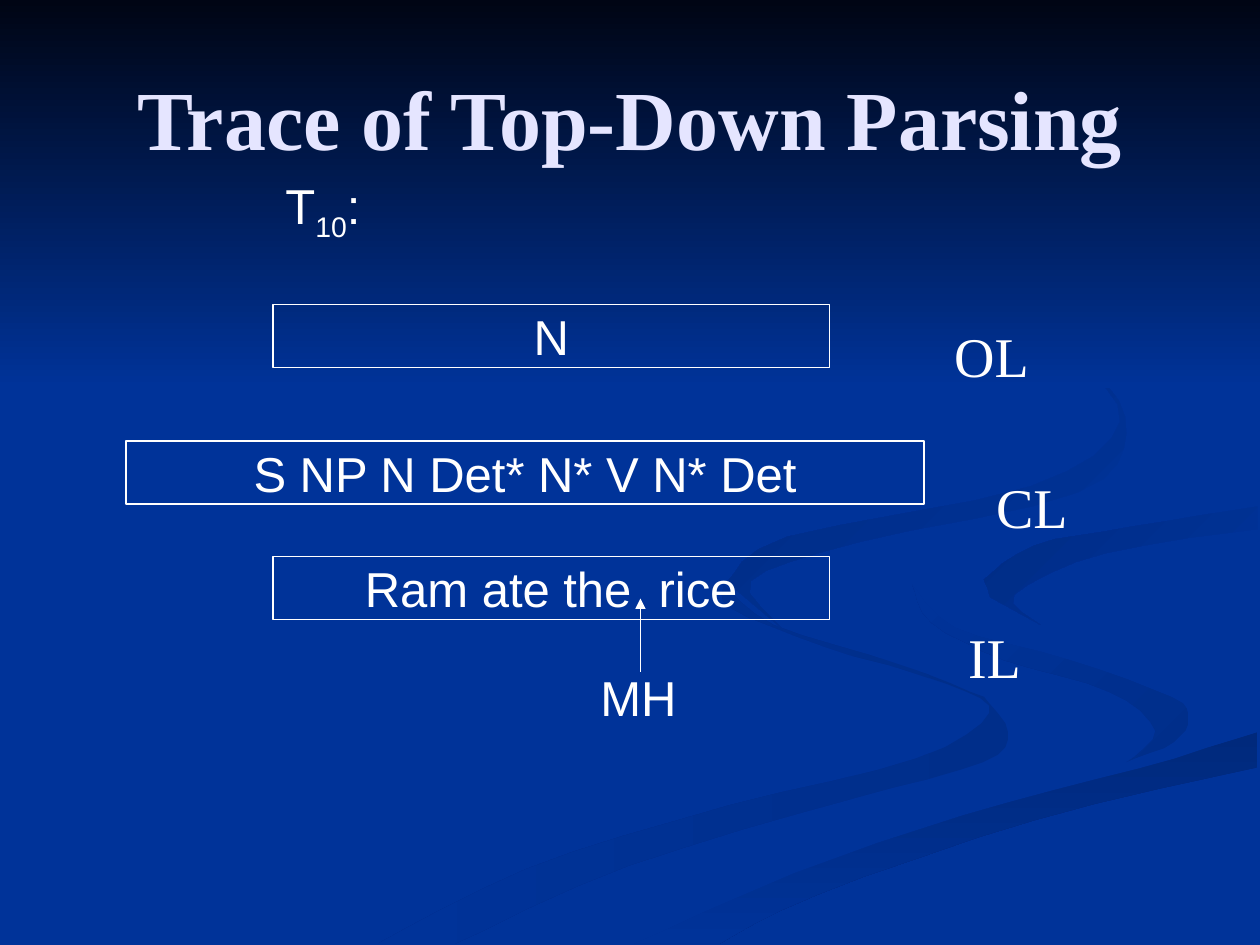
from dataclasses import dataclass

from lxml.etree import SubElement
from pptx import Presentation
from pptx.dml.color import RGBColor
from pptx.enum.shapes import MSO_CONNECTOR, MSO_SHAPE
from pptx.enum.text import MSO_ANCHOR as ANCHOR, MSO_AUTO_SIZE as AUTOSIZE, PP_ALIGN as ALIGN
from pptx.oxml.ns import qn
from pptx.util import Pt

BLUE, WHITE, LILAC = "003399", "FFFFFF", "E5E5FF"
SERIF, SANS = "Times New Roman", "Arial"
UNIT = Pt(0.72)  # ribbon edges are in hundredths of an inch
STEPS = 4  # straight pieces between two points of an edge

Edge = list[tuple[float, float]]


@dataclass
class Ribbon:
    start: str
    end: str
    angle: int  # clockwise
    edges: list[Edge]


@dataclass
class Tape:
    text: str
    left: float
    top: float
    width: float


@dataclass
class Label:
    text: str
    indent: float


LOOP_EDGE = [(724, 464), (758, 498), (850, 524), (930, 553), (943, 570), (932, 589), (894, 605)]
ROAD_EDGE = [(503, 749), (630, 693), (764, 647), (903, 610), (998, 581)]
HOOK_EDGE = [(781, 460), (821, 433), (898, 418), (998, 402)]

RIBBONS = [
    Ribbon("002E8A", BLUE, 180, [
        [(781, 553), (715, 528), (614, 496), (574, 464)],
        [(574, 464), (581, 483), (654, 513), (752, 543), (785, 566), (727, 602), (579, 639),
         (417, 690), (300, 749)],
        [(361, 749), (499, 687), (676, 634), (780, 605), (800, 581), (781, 553)]]),
    Ribbon("002E8A", BLUE, 225, [
        LOOP_EDGE,
        [(894, 605), (917, 580), (880, 549), (797, 524), (739, 494), (724, 464)]]),
    Ribbon("00297C", BLUE, 90, [
        ROAD_EDGE, [(998, 609), (821, 651), (649, 710), (571, 749)]]),
    Ribbon(BLUE, BLUE, 0, [
        LOOP_EDGE, [(743, 643), (573, 703), (477, 749)], ROAD_EDGE,
        [(998, 538), (848, 503), (784, 469)], HOOK_EDGE,
        [(998, 387), (851, 411), (755, 432), (724, 464)]]),
    Ribbon(BLUE, "002C85", 225, [
        HOOK_EDGE, [(998, 420), (878, 439), (805, 472), (826, 496)], [(786, 474), (781, 460)]]),
    Ribbon(BLUE, "002B81", 225, [
        [(762, 233), (864, 291), (894, 344), (855, 391), (683, 430), (596, 461), (622, 500)],
        [(577, 462), (625, 426), (818, 386), (889, 335), (846, 279), (762, 233)]]),
    Ribbon("000514", BLUE, 90, [[(0, 0), (1000, 0)], [(1000, 308), (0, 308)]]),
]
TAPES = [
    Tape("N", 156, 174, 318),
    Tape("S NP N Det* N* V N* Det", 72, 252, 456),
    Tape("Ram ate the  rice", 156, 318, 318),
]
LABELS = [Label("OL", 490), Label("CL", 514), Label("IL", 498)]


def color(value: str) -> RGBColor:
    return RGBColor.from_string(value)


def place(sp, left: float, top: float, width: float, height: float) -> None:
    sp.left, sp.top, sp.width, sp.height = Pt(left), Pt(top), Pt(width), Pt(height)


def write(p, text: str, *, size=28, font=SANS, fill=WHITE, bold=False, align=ALIGN.LEFT):
    p.alignment = align
    r = p.add_run()
    r.text = text
    r.font.size, r.font.name, r.font.bold = Pt(size), font, bold
    r.font.color.rgb = color(fill)
    return r


def smooth(edge: Edge) -> Edge:
    """Run a Catmull-Rom curve through the points of an edge."""
    padded = [edge[0], *edge, edge[-1]]
    curve = [edge[0]]
    for quad in zip(padded, padded[1:], padded[2:], padded[3:]):
        for step in range(1, STEPS + 1):
            t = step / STEPS
            curve.append(tuple(
                b + t / 2 * (c - a + t * (2 * a - 5 * b + 4 * c - d + t * (3 * (b - c) + d - a)))
                for a, b, c, d in zip(*quad)))
    return curve


def draw_ribbon(shapes, ribbon: Ribbon) -> None:
    first, *rest = [point for edge in ribbon.edges for point in smooth(edge)]
    builder = shapes.build_freeform(*first, scale=UNIT)
    builder.add_line_segments(rest, close=True)
    sp = builder.convert_to_shape()
    sp.shadow.inherit = False
    sp.line.fill.background()
    if ribbon.start == ribbon.end:
        sp.fill.solid()
        sp.fill.fore_color.rgb = color(ribbon.start)
        return
    sp.fill.gradient()
    sp.fill.gradient_angle = 360 - ribbon.angle
    for stop, value in zip(sp.fill.gradient_stops, (ribbon.start, ribbon.end)):
        stop.color.rgb = color(value)


def draw_tape(shapes, tape: Tape) -> None:
    sp = shapes.add_shape(MSO_SHAPE.RECTANGLE, Pt(tape.left), Pt(tape.top), Pt(tape.width), Pt(36))
    sp.shadow.inherit = False
    sp.fill.background()
    sp.line.color.rgb, sp.line.width = color(WHITE), Pt(0.75)
    tf = sp.text_frame
    tf.word_wrap, tf.vertical_anchor = False, ANCHOR.MIDDLE
    write(tf.paragraphs[0], tape.text, align=ALIGN.CENTER)


def draw_pointer(shapes, x: float, bottom: float, top: float) -> None:
    line = shapes.add_connector(MSO_CONNECTOR.STRAIGHT, Pt(x), Pt(bottom), Pt(x), Pt(top))
    line.line.color.rgb, line.line.width = color(WHITE), Pt(0.75)
    spPr = line.element.spPr
    SubElement(spPr.find(qn("a:ln")), qn("a:tailEnd"), type="triangle")
    SubElement(spPr, qn("a:effectLst"))


def add_text(shapes, left: float, top: float, width: float, height: float, text: str):
    tf = shapes.add_textbox(Pt(left), Pt(top), Pt(width), Pt(height)).text_frame
    tf.word_wrap = True
    p = tf.paragraphs[0]
    write(p, text)
    return p


def fill_title(title) -> None:
    place(title, 36, 21.6, 648, 90)
    tf = title.text_frame
    tf.auto_size, tf.vertical_anchor = AUTOSIZE.NONE, ANCHOR.MIDDLE
    write(tf.paragraphs[0], "Trace of Top-Down Parsing", size=48, font=SERIF, fill=LILAC,
          bold=True, align=ALIGN.CENTER)


def fill_labels(body) -> None:
    place(body, 48, 134, 648, 356)
    tf = body.text_frame
    tf.auto_size, tf.vertical_anchor, tf.margin_top = AUTOSIZE.NONE, ANCHOR.TOP, Pt(54)
    for i, label in enumerate(LABELS):
        p = tf.add_paragraph() if i else tf.paragraphs[0]
        p.line_spacing, p.space_before = 0.9, Pt(51.5 if i else 0)
        pPr = p._p.get_or_add_pPr()
        pPr.set("marL", str(Pt(label.indent)))
        pPr.set("indent", "0")
        SubElement(pPr, qn("a:buNone"))
        write(p, label.text, size=32, font=SERIF)


def main() -> None:
    prs = Presentation()
    prs.slide_width, prs.slide_height = Pt(720), Pt(540)
    s = prs.slides.add_slide(prs.slide_layouts[1])
    s.background.fill.solid()
    s.background.fill.fore_color.rgb = color(BLUE)
    shapes = s.shapes
    title, body = shapes.title, s.placeholders[1]
    for ribbon in RIBBONS:
        draw_ribbon(shapes, ribbon)
    for sp in (title, body):  # bring in front of the ribbons
        shapes.element.append(sp.element)
    fill_title(title)
    fill_labels(body)
    for tape in TAPES:
        draw_tape(shapes, tape)
    draw_pointer(shapes, 366, 384, 342)
    p = add_text(shapes, 156, 97, 312, 45, "T")
    write(p, "10").font._element.set("baseline", "-25000")
    write(p, ":")
    add_text(shapes, 336, 378, 66, 41, "MH")
    prs.save("out.pptx")


if __name__ == "__main__":
    main()
